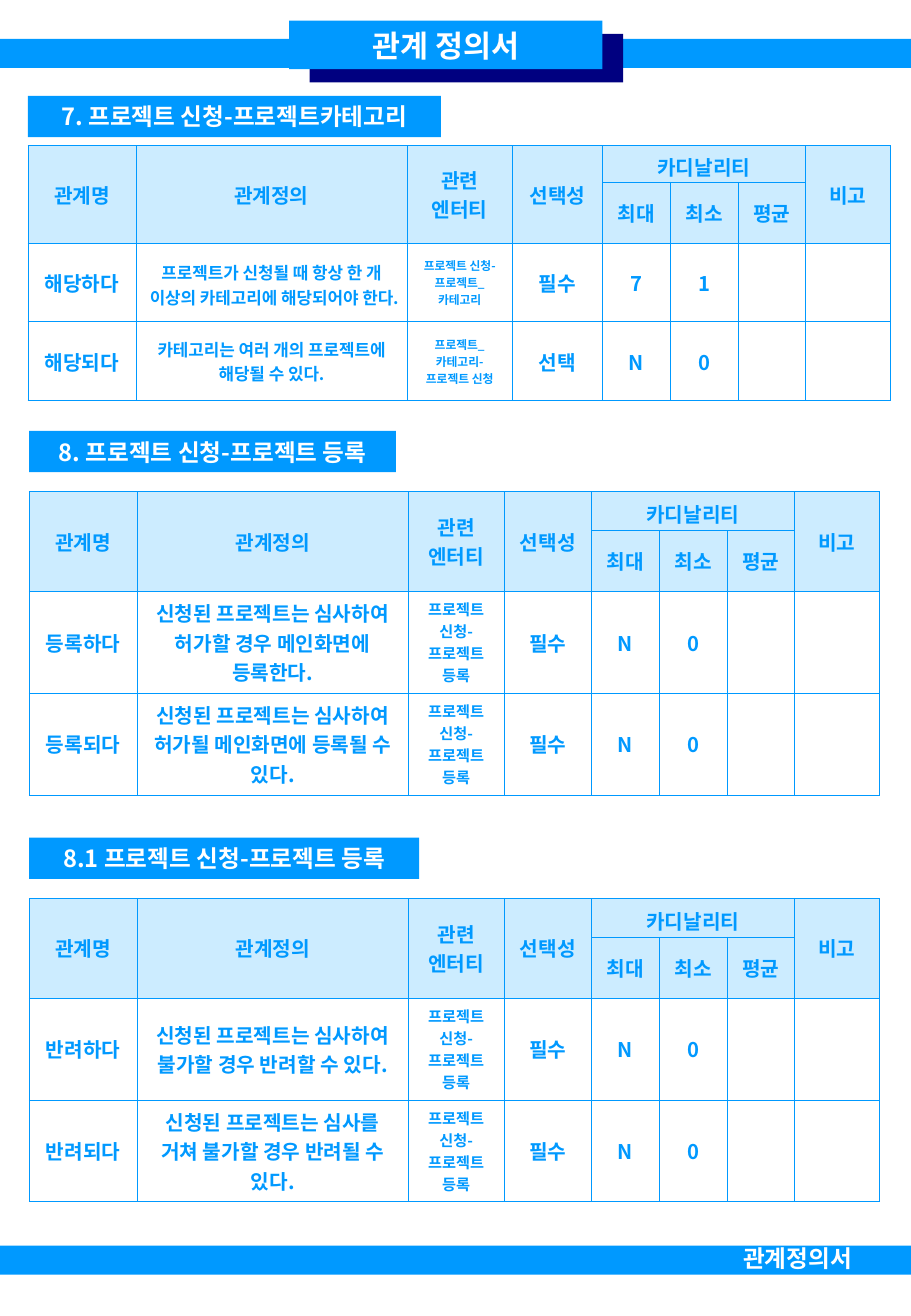
from lxml.etree import SubElement
from pptx import Presentation
from pptx.dml.color import RGBColor
from pptx.enum.shapes import MSO_SHAPE
from pptx.enum.text import MSO_ANCHOR, PP_ALIGN
from pptx.oxml.ns import qn
from pptx.util import Inches, Pt

COLORS = {"blue": "0099FF", "navy": "000080", "pale": "CCECFF", "white": "FFFFFF"}
FONT = "Noto Sans CJK KR"


def color(name):
    """Look up a palette colour."""
    return RGBColor.from_string(COLORS[name])


def write(frame, text, size=12, hue="blue", align=PP_ALIGN.CENTER):
    """Fill a text frame, one paragraph per line."""
    frame.word_wrap = True
    for i, line in enumerate(text.split("\n")):
        para = frame.paragraphs[0] if i == 0 else frame.add_paragraph()
        para.alignment = align
        run = para.add_run()
        run.text = line
        font = run.font
        font.size, font.bold, font.name = Pt(size), True, FONT
        font.color.rgb = color(hue)
        SubElement(run._r.get_or_add_rPr(), qn("a:ea"), typeface=FONT)


class Sheet:
    """Holds the slide and draws its styled elements."""

    def __init__(self, slide):
        """Keep the slide's shapes."""
        self.shapes = slide.shapes

    def box(self, x, y, w, h, text="", size=14, fill="blue", home=None):
        """Draw a filled rectangle with an optional label."""
        shape = (home or self.shapes).add_shape(
            MSO_SHAPE.RECTANGLE, Inches(x), Inches(y), Inches(w), Inches(h))
        shape.shadow.inherit = False
        shape.fill.solid()
        shape.fill.fore_color.rgb = color(fill)
        shape.line.fill.background()
        if text:
            shape.text_frame.vertical_anchor = MSO_ANCHOR.MIDDLE
            write(shape.text_frame, text, size, "white")

    def label(self, x, y, w, h, text):
        """Place a plain white text box."""
        frame = self.shapes.add_textbox(
            Inches(x), Inches(y), Inches(w), Inches(h)).text_frame
        write(frame, text, 14, "white", PP_ALIGN.LEFT)

    def cell(self, cell, text, size, fill, tight):
        """Style one table cell and write its text."""
        props = cell._tc.get_or_add_tcPr()
        for side in "LRTB":
            line = SubElement(props, qn(f"a:ln{side}"), w=str(Pt(0.45)))
            solid = SubElement(line, qn("a:solidFill"))
            SubElement(solid, qn("a:srgbClr"), val=COLORS["blue"])
        if fill:
            cell.fill.solid()
            cell.fill.fore_color.rgb = color(fill)
        else:
            cell.fill.background()
        cell.vertical_anchor = MSO_ANCHOR.MIDDLE
        if tight:
            cell.margin_top, cell.margin_bottom = Inches(0.04), 0
        if text:
            write(cell.text_frame, text, size)

    def grid(self, x, y, cols, rows, body, sizes):
        """Draw a relation table with its two-row heading."""
        table = self.shapes.add_table(
            len(rows), len(cols), Inches(x), Inches(y),
            Inches(sum(cols)), Inches(sum(rows))).table
        table.first_row = table.horz_banding = False
        for col, w in zip(table.columns, cols):
            col.width = Inches(w)
        for row, h in zip(table.rows, rows):
            row.height = Inches(h)
        for r, line in enumerate(HEAD + body):
            for c, text in enumerate(line):
                size = sizes.get(c, 12) if r > 1 else 12
                tight = (r, c) == (0, 4) or (r == 2 and size == 10)
                self.cell(table.cell(r, c), text, size,
                          "pale" if r < 2 else None, tight)
        for c in (0, 1, 2, 3, 7):
            table.cell(0, c).merge(table.cell(1, c))
        table.cell(0, 4).merge(table.cell(0, 6))


HEAD = [
    ["관계명", "관계정의", "관련\n엔터티", "선택성", "카디날리티", "", "", "비고"],
    ["", "", "", "", "최대", "최소", "평균", ""],
]
LINK = "프로젝트 신청-프로젝트 등록"
WIDE = [0.89, 2.23, 0.87, 0.74, 0.56, 0.56, 0.55, 0.7]
SLIM = [0.89, 2.23, 0.79, 0.72, 0.56, 0.56, 0.55, 0.7]
LOW = [0.3, 0.5, 0.65, 0.65]
TALL = [0.32, 0.5, 0.84, 0.84]

PARTS = [
    (0.23, 0.79, 3.4, "7. 프로젝트 신청-프로젝트카테고리", 1.2, WIDE, LOW, {1: 10, 2: 7}, [
        ["해당하다", "프로젝트가 신청될 때 항상 한 개 이상의 카테고리에 해당되어야 한다.",
         "프로젝트 신청-프로젝트_카테고리", "필수", "7", "1", "", ""],
        ["해당되다", "카테고리는 여러 개의 프로젝트에 해당될 수 있다.",
         "프로젝트_카테고리-프로젝트 신청", "선택", "N", "0", "", ""]]),
    (0.24, 3.55, 3.02, f"8. {LINK}", 4.05, SLIM, TALL, {2: 9}, [
        ["등록하다", "신청된 프로젝트는 심사하여 허가할 경우 메인화면에 등록한다.",
         LINK, "필수", "N", "0", "", ""],
        ["등록되다", "신청된 프로젝트는 심사하여 허가될 메인화면에 등록될 수 있다.",
         LINK, "필수", "N", "0", "", ""]]),
    (0.24, 6.9, 3.21, f"8.1 {LINK}", 7.4, SLIM, TALL, {2: 9}, [
        ["반려하다", "신청된 프로젝트는 심사하여 불가할 경우 반려할 수 있다.",
         LINK, "필수", "N", "0", "", ""],
        ["반려되다", "신청된 프로젝트는 심사를 거쳐 불가할 경우 반려될 수 있다.",
         LINK, "필수", "N", "0", "", ""]]),
]


def main():
    """Build the slide and save it."""
    deck = Presentation()
    deck.slide_width, deck.slide_height = Inches(7.5), Inches(10.84)
    sheet = Sheet(deck.slides.add_slide(deck.slide_layouts[6]))
    for y in (10.26, 0.32):
        sheet.box(0, y, 7.5, 0.24)
    sheet.label(6.02, 10.2, 1.39, 0.34, "관계정의서")
    title = sheet.shapes.add_group_shape().shapes
    sheet.box(2.55, 0.28, 2.58, 0.4, fill="navy", home=title)
    sheet.box(2.38, 0.17, 2.58, 0.4, "관계 정의서", 18, home=title)
    for x, y, w, name, top, cols, rows, sizes, body in PARTS:
        sheet.box(x, y, w, 0.34, name)
        sheet.grid(x, top, cols, rows, body, sizes)
    deck.save("out.pptx")


if __name__ == "__main__":
    main()
